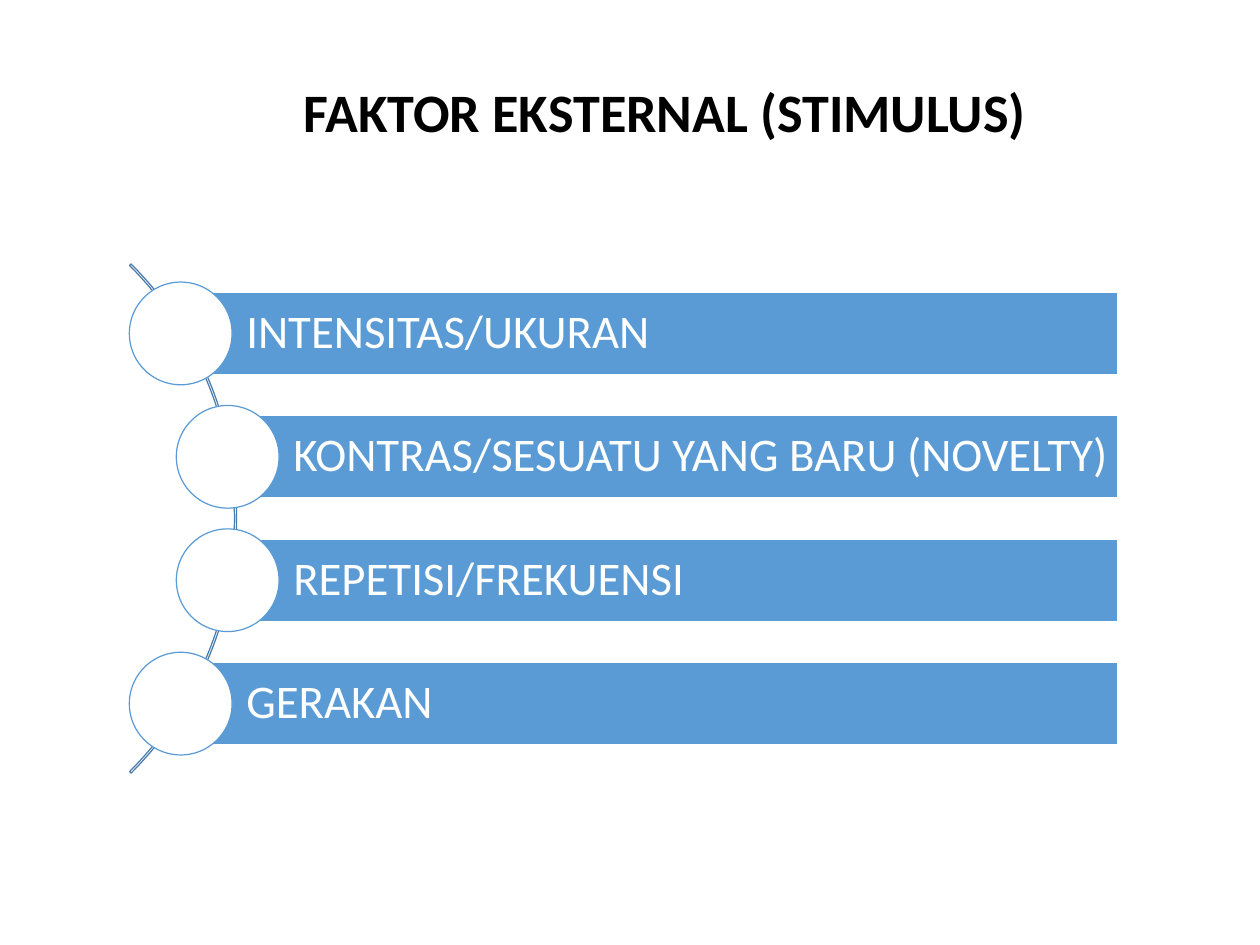
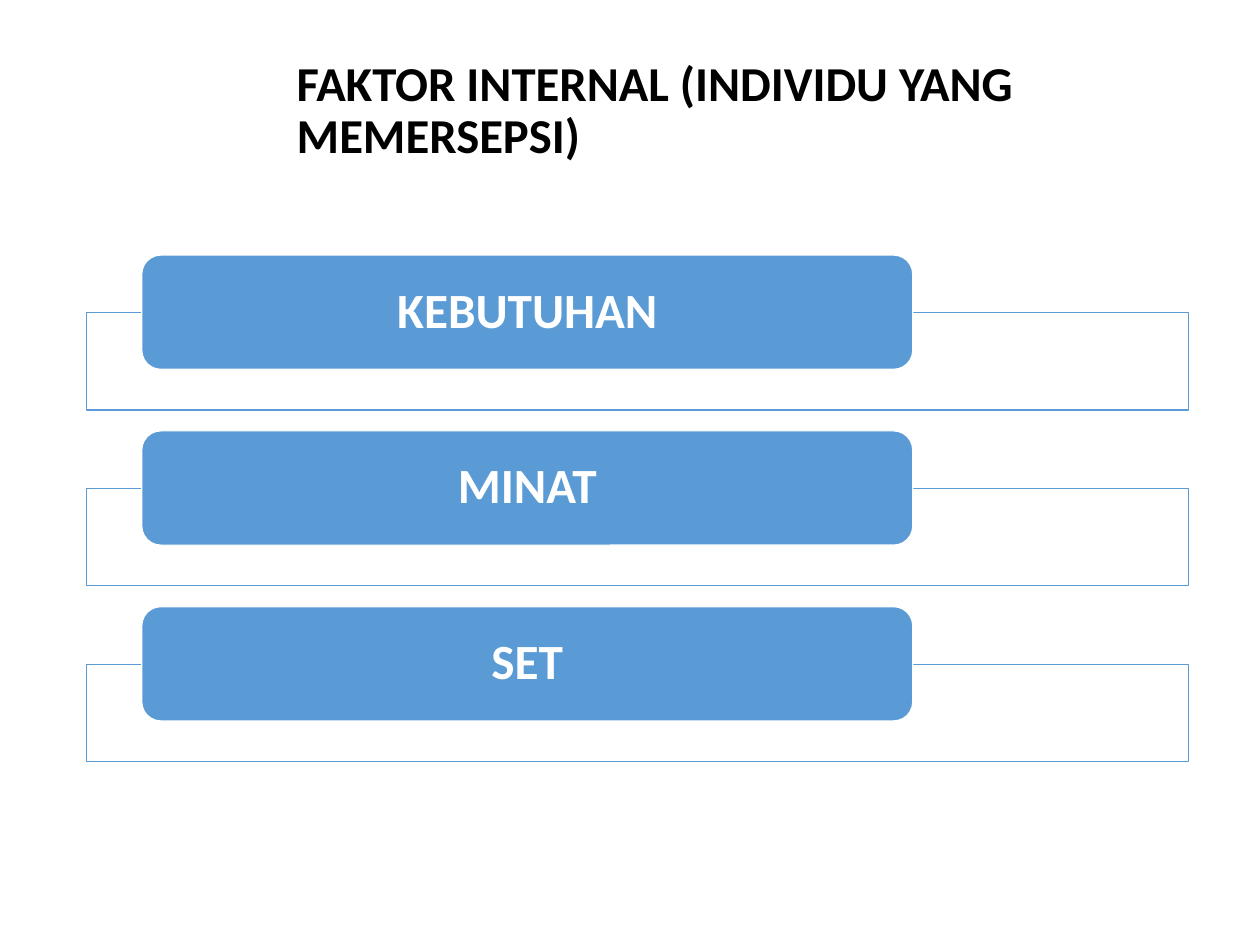
from pptx import Presentation
from pptx.enum.shapes import MSO_SHAPE
from pptx.enum.text import MSO_ANCHOR, PP_ALIGN
from pptx.dml.color import RGBColor
from pptx.util import Inches, Pt

RECT, ROUND = MSO_SHAPE.RECTANGLE, MSO_SHAPE.ROUNDED_RECTANGLE
OVAL, ARC = MSO_SHAPE.OVAL, MSO_SHAPE.BLOCK_ARC
MIDDLE = MSO_ANCHOR.MIDDLE
LEFT, CENTER = PP_ALIGN.LEFT, PP_ALIGN.CENTER
FONT = "Calibri"
BLUE, EDGE, WHITE, BLACK = "5B9BD5", "497CAB", "FFFFFF", "000000"


def paint(fmt, code):
    """Give a fill, line or font a solid hex colour."""
    fmt.fill.solid()
    fmt.fill.fore_color.rgb = RGBColor.from_string(code)


def shape(slide, kind, box, fill, line):
    """Add a preset shape; a fill of None leaves it empty."""
    item = slide.shapes.add_shape(kind, *map(Inches, box))
    item.shadow.inherit = False
    if fill:
        paint(item, fill)
    else:
        item.fill.background()
    paint(item.line, line)
    item.line.width = Pt(1)
    return item


def write(item, text, size, code, align=LEFT, bold=False, pads=(0.1, 0.05, 0.1, 0.05)):
    """Write one middle-anchored paragraph into a shape or text box."""
    frame = item.text_frame
    frame.word_wrap = True
    frame.vertical_anchor = MIDDLE
    (frame.margin_left, frame.margin_top,
     frame.margin_right, frame.margin_bottom) = map(Inches, pads)
    para = frame.paragraphs[0]
    para.text = text
    para.alignment = align
    para.line_spacing = 0.9
    font = para.font
    font.name, font.size, font.bold = FONT, Pt(size), bold
    paint(font, code)


def title(slide, text, box, size):
    """Add the bold black slide title."""
    write(slide.shapes.add_textbox(*map(Inches, box)), text, size, BLACK, bold=True)


def curve(slide, box, items):
    """Draw bars with circles strung along an arc; each item is (text, indent)."""
    left, top, width, height = box
    bar, dot, ring = 0.93, 1.16, 8.13
    step = (height - bar) / (len(items) - 1)
    arc = shape(slide, ARC, (left - 7.5, top + (height - ring) / 2, ring, ring), None, EDGE)
    for i, value in enumerate((189, 27, 0.003)):
        arc.adjustments[i] = value
    for i, (text, indent) in enumerate(items):
        x, y = left + indent, top + i * step
        strip = shape(slide, RECT, (x, y, width - indent, bar), BLUE, WHITE)
        write(strip, text, 38, WHITE, pads=(0.74, 0.11, 0.02, 0.11))
        shape(slide, OVAL, (x - dot / 2, y + (bar - dot) / 2, dot, dot), WHITE, BLUE)


def panels(slide, box, items):
    """Stack outlined panels, each with a rounded label over its top edge."""
    left, top, width, height = box
    rise, deep = 0.65, 1.1
    step = (height - rise - deep) / (len(items) - 1)
    for i, text in enumerate(items):
        y = top + i * step
        shape(slide, RECT, (left, y + rise, width, deep), WHITE, BLUE)
        label = shape(slide, ROUND, (left + 0.62, y, width * 0.7, 1.29), BLUE, WHITE)
        write(label, text, 40, WHITE, CENTER, True, (0.39, 0.06, 0.39, 0.06))


def main():
    """Build and save both slides."""
    deck = Presentation()
    deck.slide_width, deck.slide_height = Inches(14.22), Inches(10.67)
    blank = deck.slide_layouts[6]

    outer = deck.slides.add_slide(blank)
    title(outer, "FAKTOR EKSTERNAL (STIMULUS)", (3.33, 0.57, 9.91, 1.46), 44)
    curve(outer, (2.04, 3.3, 10.57, 5.11), [
        ("INTENSITAS/UKURAN", 0),
        ("KONTRAS/SESUATU YANG BARU (NOVELTY)", 0.53),
        ("REPETISI/FREKUENSI", 0.53),
        ("GERAKAN", 0),
    ])

    inner = deck.slides.add_slide(blank)
    title(inner, "FAKTOR INTERNAL (INDIVIDU YANG MEMERSEPSI)", (3.25, 0.69, 10.9, 1.14), 39.6)
    panels(inner, (0.98, 2.88, 12.43, 5.72), ["KEBUTUHAN", "MINAT", "SET"])

    deck.save("out.pptx")


if __name__ == "__main__":
    main()
